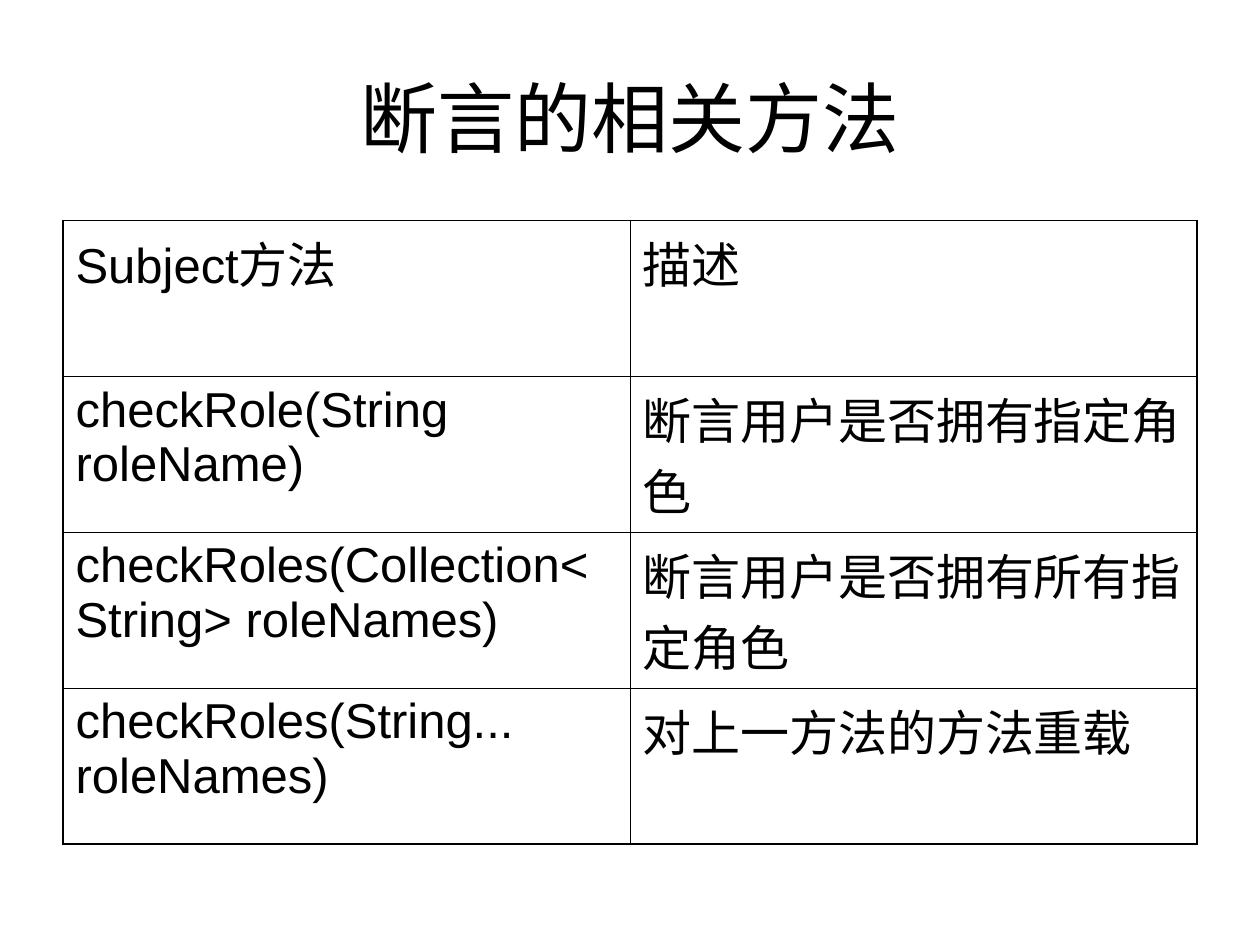
import pptx
import pptx.dml.color
import pptx.enum.text
import pptx.oxml
import pptx.oxml.ns
import pptx.util
from pptx.util import Inches

BLACK = pptx.dml.color.RGBColor(0, 0, 0)
FONT = "Arial"
OUTER_LINE = pptx.util.Pt(1.08)
INNER_LINE = pptx.util.Pt(0.45)

TITLE = "断言的相关方法"
ROWS = [
    ("Subject方法", "描述"),
    ("checkRole(String roleName)", "断言用户是否拥有指定角色"),
    ("checkRoles(Collection<String> roleNames)", "断言用户是否拥有所有指定角色"),
    ("checkRoles(String... roleNames)", "对上一方法的方法重载"),
]


def style_paragraph(para, size):
    para.font.name = FONT
    para.font.size = pptx.util.Pt(size)
    para.font.color.rgb = BLACK


def add_title(page, left, top, width, height):
    title = page.shapes.title
    title.left, title.top, title.width, title.height = left, top, width, height
    title.text_frame.text = TITLE
    title.text_frame.vertical_anchor = pptx.enum.text.MSO_ANCHOR.MIDDLE
    para = title.text_frame.paragraphs[0]
    para.alignment = pptx.enum.text.PP_ALIGN.CENTER
    style_paragraph(para, 44)


def add_border(cell, side, width):
    """Draw one side (L, R, T or B) of a cell; call in that order."""
    line = pptx.oxml.parse_xml(
        f'<a:ln{side} {pptx.oxml.ns.nsdecls("a")} w="{int(width)}">'
        f'<a:solidFill><a:srgbClr val="{BLACK}"/></a:solidFill></a:ln{side}>'
    )
    cell._tc.get_or_add_tcPr().append(line)


def add_method_table(page, left, top, width, height):
    row_count, column_count = len(ROWS), len(ROWS[0])
    table = page.shapes.add_table(
        row_count, column_count, left, top, width, height).table
    table.first_row = False
    table.horz_banding = False
    for r, texts in enumerate(ROWS):
        for c, text in enumerate(texts):
            cell = table.cell(r, c)
            cell.text = text
            style_paragraph(cell.text_frame.paragraphs[0], 28)
            on_edge = {
                "L": c == 0,
                "R": c == column_count - 1,
                "T": r == 0,
                "B": r == row_count - 1,
            }
            for side, is_outer in on_edge.items():
                add_border(cell, side, OUTER_LINE if is_outer else INNER_LINE)
            cell.fill.background()


def main():
    deck = pptx.Presentation()
    deck.slide_width, deck.slide_height = Inches(10), Inches(7.5)
    page = deck.slides.add_slide(deck.slide_layouts.get_by_name("Title Only"))
    add_title(page, Inches(0.5), Inches(0.3), Inches(9), Inches(1.25))
    add_method_table(page, Inches(0.5), Inches(1.75), Inches(9), Inches(4.95))
    deck.save("out.pptx")


if __name__ == "__main__":
    main()
